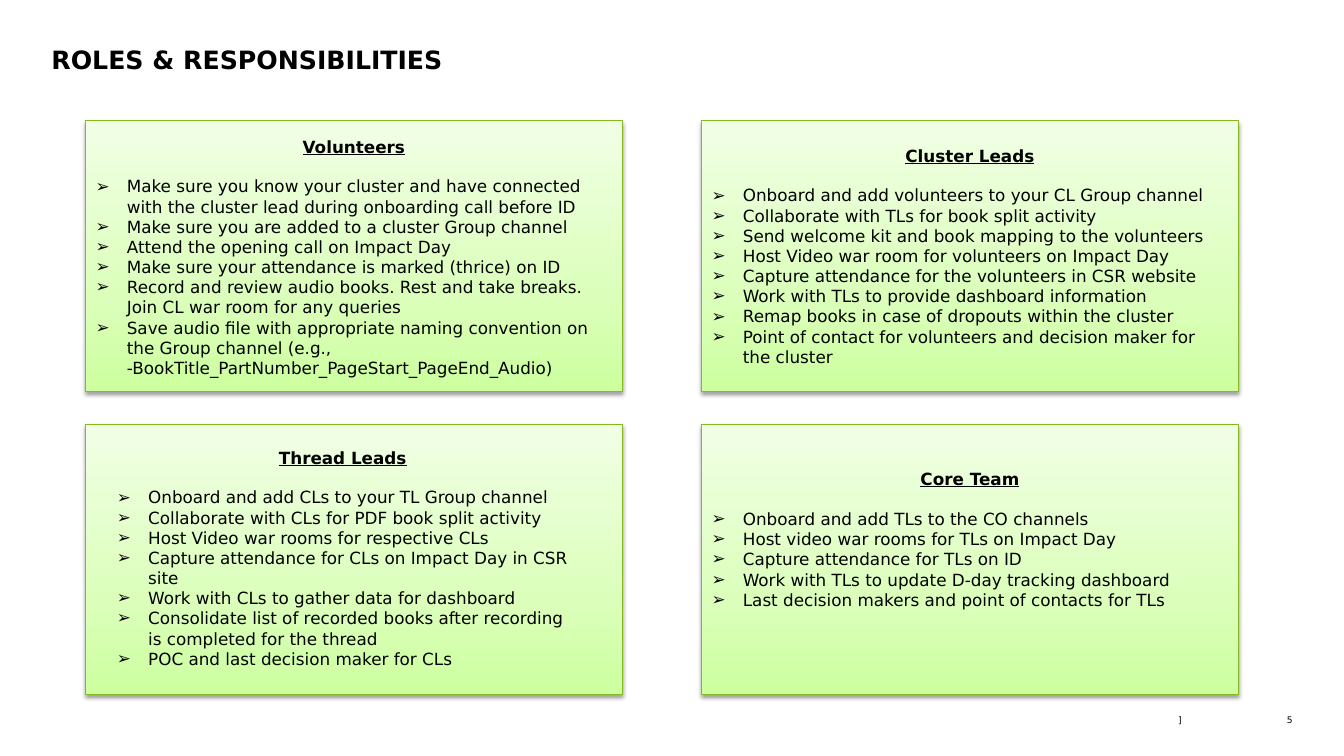
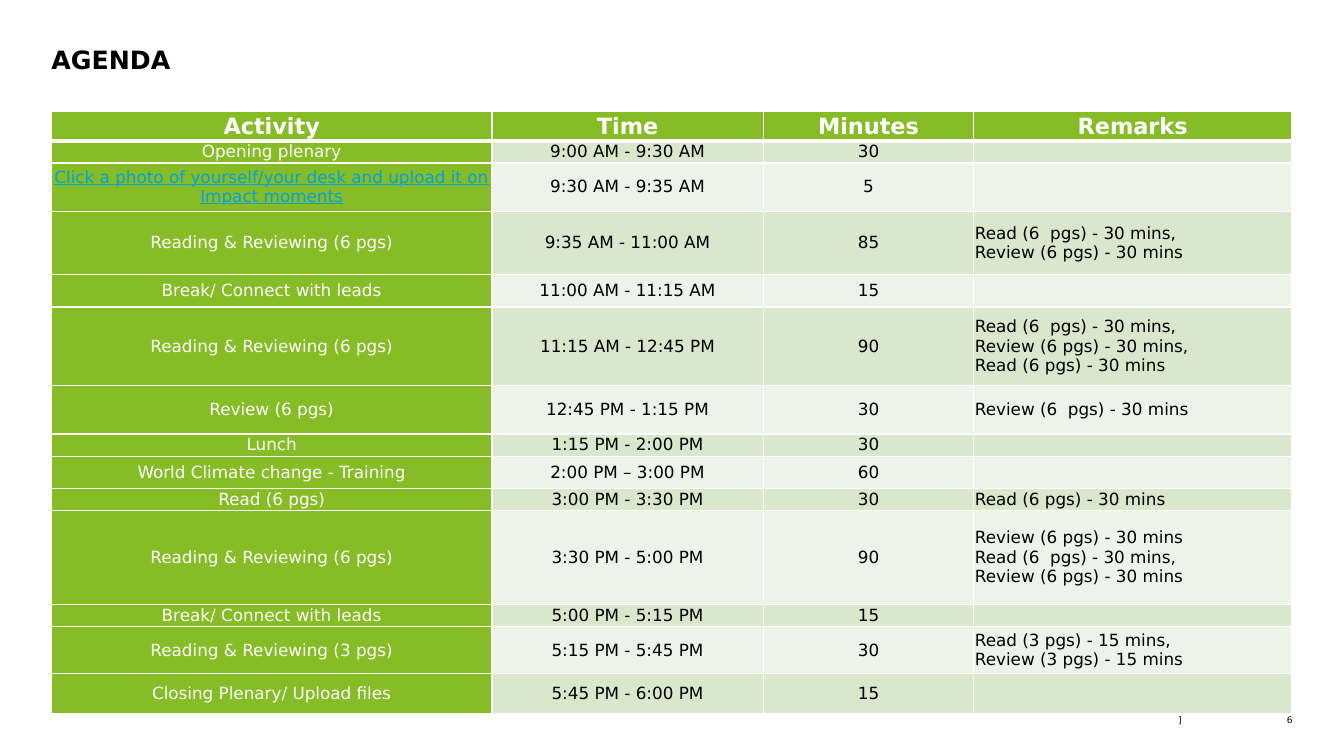
from copy import deepcopy

from lxml import etree
from pptx import Presentation
from pptx.dml.color import RGBColor
from pptx.enum.shapes import MSO_SHAPE
from pptx.enum.text import MSO_ANCHOR, PP_ALIGN
from pptx.oxml.ns import qn
from pptx.util import Inches, Pt

LEFT, CENTER, RIGHT = PP_ALIGN.LEFT, PP_ALIGN.CENTER, PP_ALIGN.RIGHT
TOP, MIDDLE = MSO_ANCHOR.TOP, MSO_ANCHOR.MIDDLE
RECTANGLE = MSO_SHAPE.RECTANGLE

BLACK = RGBColor(0x00, 0x00, 0x00)
WHITE = RGBColor(0xFF, 0xFF, 0xFF)
GREEN = RGBColor(0x86, 0xBC, 0x25)
PANEL_LINE = RGBColor(0x84, 0xBC, 0x20)
LINK_BLUE = RGBColor(0x00, 0xA3, 0xE0)
BANDS = (RGBColor(0xD9, 0xE7, 0xCD), RGBColor(0xED, 0xF3, 0xE8))
PANEL_STOPS = (
    (0, RGBColor(0xCD, 0xFF, 0x9F)),
    (0.35, RGBColor(0xDB, 0xFF, 0xBB)),
    (1, RGBColor(0xF1, 0xFF, 0xE5)),
)
FONT = "DejaVu Sans"
BODY_SIZE = 12

# Page grid, in inches
PAGE_WIDTH, PAGE_HEIGHT = 13.33, 7.5
MARGIN = 0.51
CONTENT_WIDTH = PAGE_WIDTH - 2 * MARGIN
TITLE_TOP, TITLE_HEIGHT = 0.44, 0.76
FOOTER_TOP, FOOTER_HEIGHT = 7.09, 0.11
PANEL_LEFT, PANEL_TOP = 0.85, 1.2
PANEL_WIDTH, PANEL_HEIGHT = 5.32, 2.68
COLUMN_STEP, ROW_STEP = 6.11, 3.01
TABLE_TOP = 1.11
COLUMN_WIDTHS = (4.37, 2.69, 2.09, 3.15)
HEADER_HEIGHT = 0.27

# Heading, insets (left, top, right, bottom), bullets
PANELS = (
    ("Volunteers", (0.1, 0.12, 0.1, 0.1), (
        "Make sure you know your cluster and have connected with the cluster lead "
        "during onboarding call before ID",
        "Make sure you are added to a cluster Group channel",
        "Attend the opening call on Impact Day",
        "Make sure your attendance is marked (thrice) on ID",
        "Record and review audio books. Rest and take breaks. Join CL war room for any queries",
        "Save audio file with appropriate naming convention on the Group channel (e.g., "
        "-BookTitle_PartNumber_PageStart_PageEnd_Audio)",
    )),
    ("Cluster Leads", (0.1, 0.1, 0.1, 0.1), (
        "Onboard and add volunteers to your CL Group channel",
        "Collaborate with TLs for book split activity",
        "Send welcome kit and book mapping to the volunteers",
        "Host Video war room for volunteers on Impact Day",
        "Capture attendance for the volunteers in CSR website",
        "Work with TLs to provide dashboard information",
        "Remap books in case of dropouts within the cluster",
        "Point of contact for volunteers and decision maker for the cluster",
    )),
    ("Thread Leads", (0.31, 0.1, 0.53, 0.13), (
        "Onboard and add CLs to your TL Group channel",
        "Collaborate with CLs for PDF book split activity",
        "Host Video war rooms for respective CLs",
        "Capture attendance for CLs on Impact Day in CSR site",
        "Work with CLs to gather data for dashboard",
        "Consolidate list of recorded books after recording is completed for the thread",
        "POC and last decision maker for CLs",
    )),
    ("Core Team", (0.1, 0.1, 0.1, 0.5), (
        "Onboard and add TLs to the CO channels",
        "Host video war rooms for TLs on Impact Day",
        "Capture attendance for TLs on ID",
        "Work with TLs to update D-day tracking dashboard",
        "Last decision makers and point of contacts for TLs",
    )),
)

AGENDA_HEADER = ("Activity", "Time", "Minutes", "Remarks")
PHOTO_TASK = "Click a photo of yourself/your desk and upload it on Impact moments"
# Row height, then the four cells
AGENDA = (
    (0.22, "Opening plenary", "9:00 AM - 9:30 AM", "30", ""),
    (0.48, PHOTO_TASK, "9:30 AM - 9:35 AM", "5", ""),
    (0.63, "Reading & Reviewing (6 pgs)", "9:35 AM - 11:00 AM", "85",
     "Read (6  pgs) - 30 mins,\nReview (6 pgs) - 30 mins"),
    (0.32, "Break/ Connect with leads", "11:00 AM - 11:15 AM", "15", ""),
    (0.78, "Reading & Reviewing (6 pgs)", "11:15 AM - 12:45 PM", "90",
     "Read (6  pgs) - 30 mins,\nReview (6 pgs) - 30 mins,\nRead (6 pgs) - 30 mins"),
    (0.48, "Review (6 pgs)", "12:45 PM - 1:15 PM", "30", "Review (6  pgs) - 30 mins"),
    (0.22, "Lunch", "1:15 PM - 2:00 PM", "30", ""),
    (0.32, "World Climate change - Training", "2:00 PM – 3:00 PM", "60", ""),
    (0.22, "Read (6 pgs)", "3:00 PM - 3:30 PM", "30", "Read (6 pgs) - 30 mins"),
    (0.93, "Reading & Reviewing (6 pgs)", "3:30 PM - 5:00 PM", "90",
     "Review (6 pgs) - 30 mins\nRead (6  pgs) - 30 mins,\nReview (6 pgs) - 30 mins"),
    (0.22, "Break/ Connect with leads", "5:00 PM - 5:15 PM", "15", ""),
    (0.47, "Reading & Reviewing (3 pgs)", "5:15 PM - 5:45 PM", "30",
     "Read (3 pgs) - 15 mins,\nReview (3 pgs) - 15 mins"),
    (0.39, "Closing Plenary/ Upload files", "5:45 PM - 6:00 PM", "15", ""),
)


def add_xml(parent, tag, **attributes):
    return etree.SubElement(parent, qn(tag), attributes)


def box(left, top, width, height):
    return [Inches(value) for value in (left, top, width, height)]


def set_insets(holder, left, top, right, bottom):
    """Works for text frames and table cells alike."""
    holder.margin_left, holder.margin_top = Inches(left), Inches(top)
    holder.margin_right, holder.margin_bottom = Inches(right), Inches(bottom)


def format_paragraph(paragraph, size, color=BLACK, align=LEFT, bold=False, underline=False):
    paragraph.alignment = align
    for run in paragraph.runs:
        font = run.font
        font.name, font.size, font.bold, font.underline = FONT, Pt(size), bold, underline
        font.color.rgb = color


# Shared parts: title and footer
def add_footer_text(slide, text, left, width):
    frame = slide.shapes.add_textbox(*box(left, FOOTER_TOP, width, FOOTER_HEIGHT)).text_frame
    frame.word_wrap = True
    set_insets(frame, 0, 0, 0, 0)
    frame.text = text
    format_paragraph(frame.paragraphs[0], 6.5, align=RIGHT)


def add_titled_slide(presentation, title, number):
    slide = presentation.slides.add_slide(presentation.slide_layouts[5])
    placeholder = slide.shapes.title
    placeholder.left, placeholder.top, placeholder.width, placeholder.height = box(
        MARGIN, TITLE_TOP, CONTENT_WIDTH, TITLE_HEIGHT)
    frame = placeholder.text_frame
    frame.text = title
    frame.vertical_anchor = TOP
    set_insets(frame, 0, 0, 0, 0)
    format_paragraph(frame.paragraphs[0], 18, bold=True)
    add_footer_text(slide, "]", 6.37, 5.35)
    add_footer_text(slide, str(number), 12.48, 0.34)
    return slide


# Roles: gradient panels with bulleted duties
def style_panel(panel):
    fill = panel.fill
    fill.gradient()
    fill.gradient_angle = 90
    properties = panel._element.spPr
    stop_list = properties.find(".//" + qn("a:gsLst"))
    stop_list.append(deepcopy(stop_list[-1]))
    for stop, (position, color) in zip(fill.gradient_stops, PANEL_STOPS):
        stop.position = position
        stop.color.rgb = color
    panel.line.color.rgb = PANEL_LINE
    panel.line.width = Pt(0.75)
    panel.shadow.inherit = False
    shadow = add_xml(properties.find(qn("a:effectLst")), "a:outerShdw",
                     blurRad=str(Pt(3.1)), dist=str(Pt(1.6)), dir="5400000", rotWithShape="0")
    shadow_color = add_xml(shadow, "a:srgbClr", val=str(BLACK))
    add_xml(shadow_color, "a:alpha", val="38000")


def add_panel(slide, left, top, heading, insets, duties):
    panel = slide.shapes.add_shape(RECTANGLE, *box(left, top, PANEL_WIDTH, PANEL_HEIGHT))
    style_panel(panel)
    frame = panel.text_frame
    frame.word_wrap = True
    frame.vertical_anchor = MIDDLE
    set_insets(frame, *insets)
    frame.text = heading
    title = frame.paragraphs[0]
    title.space_after = Pt(14)
    format_paragraph(title, BODY_SIZE, align=CENTER, bold=True, underline=True)
    for duty in duties:
        paragraph = frame.add_paragraph()
        paragraph.text = duty
        properties = paragraph._p.get_or_add_pPr()
        properties.set("marL", str(Inches(0.31)))
        properties.set("indent", str(-Inches(0.31)))
        add_xml(properties, "a:buFont", typeface=FONT)
        add_xml(properties, "a:buChar", char="➢")
        format_paragraph(paragraph, BODY_SIZE)


def build_roles(presentation):
    slide = add_titled_slide(presentation, "ROLES & RESPONSIBILITIES", 5)
    for index, panel in enumerate(PANELS):
        row, column = divmod(index, 2)
        add_panel(slide, PANEL_LEFT + column * COLUMN_STEP, PANEL_TOP + row * ROW_STEP, *panel)


# Agenda: one table
def add_borders(cell, bottom_width):
    properties = cell._tc.get_or_add_tcPr()
    for side, width in (("L", 1), ("R", 1), ("T", 1), ("B", bottom_width)):
        line = add_xml(properties, "a:ln" + side, w=str(Pt(width)))
        add_xml(add_xml(line, "a:solidFill"), "a:srgbClr", val=str(WHITE))


def fill_cell(cell, text, fill, bottom_width=1, size=BODY_SIZE, **style):
    add_borders(cell, bottom_width)
    cell.fill.solid()
    cell.fill.fore_color.rgb = fill
    cell.vertical_anchor = MIDDLE
    set_insets(cell, 0.01, 0.01, 0.01, 0.01)
    cell.text_frame.text = text
    for paragraph in cell.text_frame.paragraphs:
        format_paragraph(paragraph, size, **style)
        if not text:
            # Keeps empty cells from stretching low rows
            add_xml(paragraph._p, "a:endParaRPr", sz=str(size * 100))


def build_agenda(presentation):
    slide = add_titled_slide(presentation, "AGENDA", 6)
    heights = [HEADER_HEIGHT] + [entry[0] for entry in AGENDA]
    table = slide.shapes.add_table(
        len(heights), len(COLUMN_WIDTHS),
        *box(MARGIN, TABLE_TOP, sum(COLUMN_WIDTHS), sum(heights))).table
    table.horz_banding = False
    for column, width in zip(table.columns, COLUMN_WIDTHS):
        column.width = Inches(width)
    for row, height in zip(table.rows, heights):
        row.height = Inches(height)
    for column, heading in enumerate(AGENDA_HEADER):
        fill_cell(table.cell(0, column), heading, GREEN, bottom_width=3, size=16,
                  color=WHITE, align=CENTER, bold=True)
    for row, (_, activity, time, minutes, remarks) in enumerate(AGENDA, start=1):
        band = BANDS[(row - 1) % 2]
        is_link = activity == PHOTO_TASK
        fill_cell(table.cell(row, 0), activity, GREEN, align=CENTER,
                  color=LINK_BLUE if is_link else WHITE, underline=is_link)
        fill_cell(table.cell(row, 1), time, band, align=CENTER)
        fill_cell(table.cell(row, 2), minutes, band, align=CENTER)
        fill_cell(table.cell(row, 3), remarks, band)


def main():
    presentation = Presentation()
    presentation.slide_width = Inches(PAGE_WIDTH)
    presentation.slide_height = Inches(PAGE_HEIGHT)
    build_roles(presentation)
    build_agenda(presentation)
    presentation.save("out.pptx")


if __name__ == "__main__":
    main()
